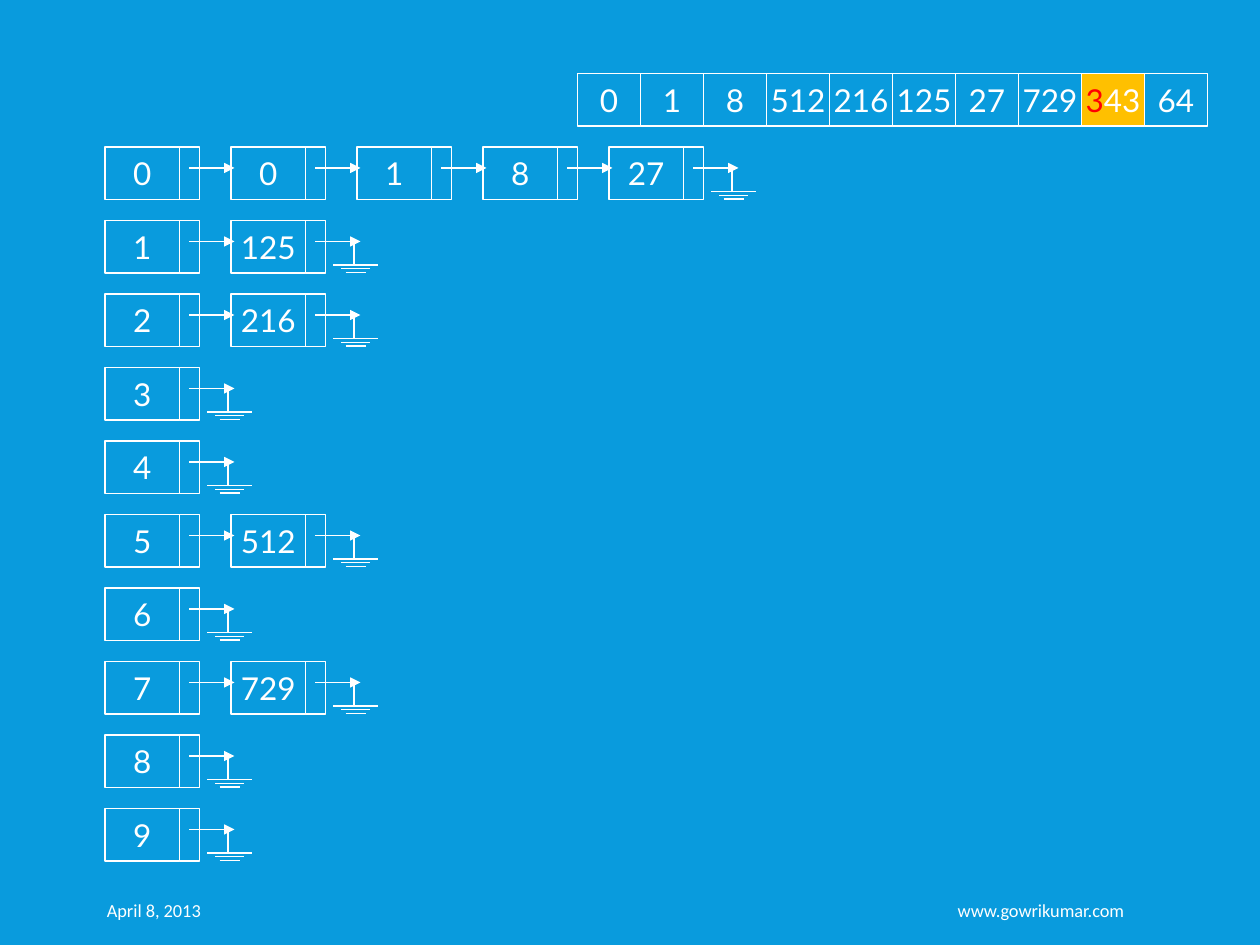
from dataclasses import dataclass

from lxml import etree
from pptx import Presentation
from pptx import util as u
from pptx.dml.color import RGBColor
from pptx.enum import shapes, text
from pptx.oxml import ns


@dataclass(frozen=True)
class Theme:
    background: str = "099BDD"
    ink: str = "FFFFFF"
    highlight: str = "FFC000"
    digit: str = "FF0000"
    number_font: str = "Lato"
    footer_font: str = "Calibri"
    number_size: float = 18
    footer_size: float = 10.5
    line_width: float = 0.75


@dataclass(frozen=True)
class Span:
    words: str
    color: str


@dataclass(frozen=True)
class ArrayCell:
    spans: tuple[Span, ...]
    fill: str | None = None


@dataclass(frozen=True)
class Footer:
    words: str
    left: float
    width: float
    align: text.PP_ALIGN


THEME = Theme()

# Grid, in points
CELL_HEIGHT = 30
ARRAY_LEFT, ARRAY_TOP, ARRAY_CELL_WIDTH = 330, 42, 36
BUCKET_LEFT, BUCKET_TOP = 60, 84
NODE_STEP, ROW_STEP = 72, 42
VALUE_WIDTH, POINTER_WIDTH = 42.5, 11.5
ARROW_START, ARROW_LENGTH, ARROW_DROP = 48, 26, 12
STEM_X, GROUND_CENTER = 70.3, 71.3
GROUND_BARS = ((25.4, 26), (27.6, 16.5), (29.8, 11.5))  # drop, width
FOOTER_TOP, FOOTER_HEIGHT = 505.5, 29

# Content
PLAIN_NUMBERS = ("0", "1", "8", "512", "216", "125", "27", "729")
ARRAY = [ArrayCell((Span(number, THEME.ink),)) for number in PLAIN_NUMBERS] + [
    ArrayCell((Span("3", THEME.digit), Span("43", THEME.ink)), THEME.highlight),
    ArrayCell((Span("64", THEME.ink),)),
]
BUCKETS = {0: ("0", "1", "8", "27"), 1: ("125",), 2: ("216",), 5: ("512",), 7: ("729",)}
FOOTERS = (
    Footer("April 8, 2013", 54, 204.5, text.PP_ALIGN.LEFT),
    Footer("www.gowrikumar.com", 330, 319.5, text.PP_ALIGN.RIGHT),
)


def write(box, spans: tuple[Span, ...], *, font: str, size: float,
          align: text.PP_ALIGN, wrap: bool) -> None:
    frame = box.text_frame
    frame.word_wrap = wrap
    frame.vertical_anchor = text.MSO_ANCHOR.MIDDLE
    para = frame.paragraphs[0]
    para.alignment = align
    for item in spans:
        span = para.add_run()
        span.text = item.words
        span.font.name = font
        span.font.size = u.Pt(size)
        span.font.color.rgb = RGBColor.from_string(item.color)


def style_line(line) -> None:
    line.color.rgb = RGBColor.from_string(THEME.ink)
    line.width = u.Pt(THEME.line_width)


def draw_cell(parent, left: float, top: float, width: float,
              spans: tuple[Span, ...] = (), fill: str | None = None) -> None:
    box = parent.add_shape(shapes.MSO_SHAPE.RECTANGLE, u.Pt(left), u.Pt(top),
                           u.Pt(width), u.Pt(CELL_HEIGHT))
    box.shadow.inherit = False
    style_line(box.line)
    if fill:
        box.fill.solid()
        box.fill.fore_color.rgb = RGBColor.from_string(fill)
    else:
        box.fill.background()
    if spans:
        write(box, spans, font=THEME.number_font, size=THEME.number_size,
              align=text.PP_ALIGN.CENTER, wrap=False)


def draw_line(parent, x1: float, y1: float, x2: float, y2: float,
              arrow: bool = False) -> None:
    line = parent.add_connector(shapes.MSO_CONNECTOR.STRAIGHT,
                                u.Pt(x1), u.Pt(y1), u.Pt(x2), u.Pt(y2))
    style_line(line.line)
    if arrow:
        etree.SubElement(line.line._get_or_add_ln(), ns.qn("a:tailEnd"), type="triangle")
    etree.SubElement(line._element.spPr, ns.qn("a:effectLst"))


def draw_ground(parent, left: float, top: float) -> None:
    for drop, width in GROUND_BARS:
        start = left + GROUND_CENTER - width / 2
        draw_line(parent, start, top + drop, start + width, top + drop)
    stem = left + STEM_X
    draw_line(parent, stem, top + GROUND_BARS[0][0], stem, top + ARROW_DROP)


def draw_node(page, left: float, top: float, number: str, is_last: bool) -> None:
    node = page.shapes.add_group_shape().shapes
    draw_cell(node, left, top, VALUE_WIDTH, (Span(number, THEME.ink),))
    draw_cell(node, left + VALUE_WIDTH, top, POINTER_WIDTH)
    start, level = left + ARROW_START, top + ARROW_DROP
    draw_line(node, start, level, start + ARROW_LENGTH, level, arrow=True)
    if is_last:
        draw_ground(node, left, top)


def draw_footer(page, footer: Footer) -> None:
    box = page.shapes.add_textbox(u.Pt(footer.left), u.Pt(FOOTER_TOP),
                                  u.Pt(footer.width), u.Pt(FOOTER_HEIGHT))
    write(box, (Span(footer.words, THEME.ink),), font=THEME.footer_font,
          size=THEME.footer_size, align=footer.align, wrap=True)


def main() -> None:
    deck = Presentation()
    deck.slide_width, deck.slide_height = u.Pt(720), u.Pt(540)
    page = deck.slides.add_slide(deck.slide_layouts[6])
    page.background.fill.solid()
    page.background.fill.fore_color.rgb = RGBColor.from_string(THEME.background)

    # Array being sorted
    for column, cell in enumerate(ARRAY):
        draw_cell(page.shapes, ARRAY_LEFT + column * ARRAY_CELL_WIDTH, ARRAY_TOP,
                  ARRAY_CELL_WIDTH, cell.spans, cell.fill)

    # Buckets, each a linked list ending in a ground symbol
    for bucket in range(10):
        chain = (str(bucket), *BUCKETS.get(bucket, ()))
        for position, number in enumerate(chain):
            draw_node(page, BUCKET_LEFT + position * NODE_STEP,
                      BUCKET_TOP + bucket * ROW_STEP, number,
                      position == len(chain) - 1)

    # Footers
    for footer in FOOTERS:
        draw_footer(page, footer)

    deck.save("out.pptx")


if __name__ == "__main__":
    main()
